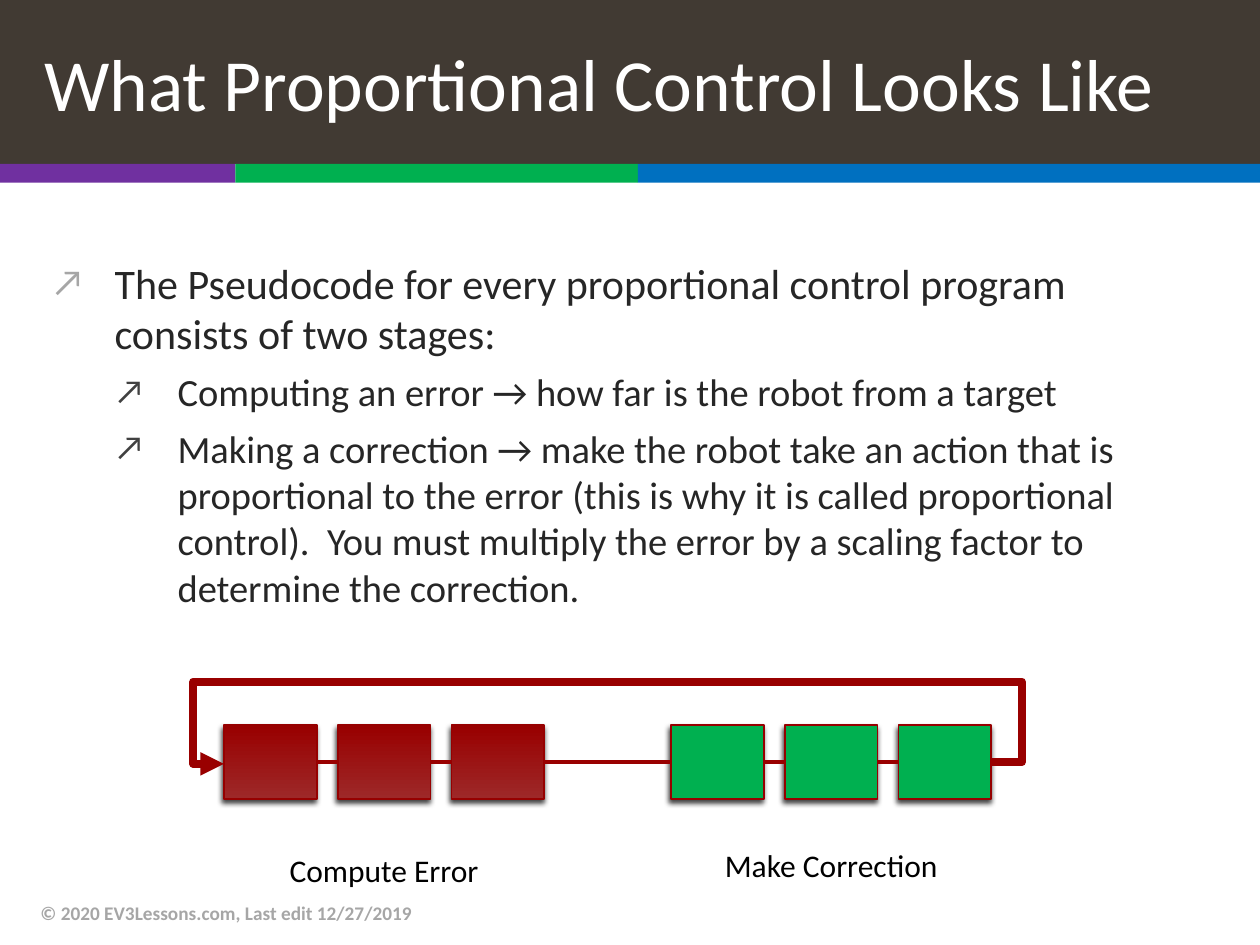
from lxml import etree
from pptx import Presentation
from pptx.dml.color import RGBColor
from pptx.enum.shapes import MSO_CONNECTOR, MSO_SHAPE
from pptx.enum.text import MSO_ANCHOR, MSO_AUTO_SIZE, PP_ALIGN
from pptx.oxml.ns import qn
from pptx.util import Pt

RECTANGLE, STRAIGHT = MSO_SHAPE.RECTANGLE, MSO_CONNECTOR.STRAIGHT
TOP, MIDDLE = MSO_ANCHOR.TOP, MSO_ANCHOR.MIDDLE
LEFT, CENTER = PP_ALIGN.LEFT, PP_ALIGN.CENTER
NO_AUTOFIT = MSO_AUTO_SIZE.NONE
LEFT_SIDE, RIGHT_SIDE = 1, 3

# Content
TITLE = "What Proportional Control Looks Like"
BULLETS = [
    (0, "The Pseudocode for every proportional control program consists of two stages:"),
    (1, "Computing an error → how far is the robot from a target"),
    (1, "Making a correction → make the robot take an action that is proportional to the "
        "error (this is why it is called proportional control).  You must multiply the "
        "error by a scaling factor to determine the correction."),
]
COPYRIGHT = "© 2020 EV3Lessons.com, Last edit 12/27/2019"
STRIPES = [("7030A0", 134.5), ("00B050", 230), ("0070C0", 355.5)]  # colour, width
STAGES = [  # label, left, label top, fill colours from bottom to top
    ("Compute Error", 128, 483, ("9D2828", "990000")),
    ("Make Correction", 383.5, 480, ("00B050",)),
]

# Theme and layout, in points
THEME = {
    "font": "Calibri", "header": "413A33", "flow": "990000", "box_line": "960000",
    "title": {"size": 42, "color": "FFFFFF"},
    "levels": [
        {"size": 24, "color": "262626", "bullet": "A6A6A6"},
        {"size": 22, "color": "262626", "bullet": "404040"},
    ],
    "label": {"size": 18, "color": "000000"},
    "footer": {"size": 11, "color": "A6A6A6", "bold": True},
}
SLIDE_WIDTH, SLIDE_HEIGHT = 720, 540
HEADER_HEIGHT, STRIPE_HEIGHT = 93.6, 10.8
BOX_WIDTH, BOX_HEIGHT, BOX_TOP = 53, 42, 414.5
BOX_PITCH, BOXES_PER_STAGE = 65, 3
STAGE_WIDTH = BOX_PITCH * (BOXES_PER_STAGE - 1) + BOX_WIDTH
LOOP_TOP, LOOP_MARGIN = 389.5, 17.5


def color(value):
    return RGBColor.from_string(value)


def paint(shape, colors):
    if len(colors) == 1:
        shape.fill.solid()
        shape.fill.fore_color.rgb = color(colors[0])
        return
    shape.fill.gradient()
    shape.fill.gradient_angle = 90
    for position, (stop, value) in enumerate(zip(shape.fill.gradient_stops, colors)):
        stop.position = position
        stop.color.rgb = color(value)


def set_line(shape, value, width):
    shape.line.color.rgb = color(value)
    shape.line.width = Pt(width)


def place(shape, left, top, width, height):
    bounds = {"left": left, "top": top, "width": width, "height": height}
    for name, value in bounds.items():
        setattr(shape, name, Pt(value))


def add_rectangle(slide, left, top, width, height, colors):
    shape = slide.shapes.add_shape(
        RECTANGLE, Pt(left), Pt(top), Pt(width), Pt(height))
    shape.shadow.inherit = False
    paint(shape, colors)
    return shape


def add_run(paragraph, text, style):
    run = paragraph.add_run()
    run.text = text
    values = {"name": THEME["font"], "size": Pt(style["size"]),
              "bold": style.get("bold", False)}
    for name, value in values.items():
        setattr(run.font, name, value)
    run.font.color.rgb = color(style["color"])


def format_frame(frame, anchor):
    values = {"word_wrap": True, "auto_size": NO_AUTOFIT, "vertical_anchor": anchor}
    for name, value in values.items():
        setattr(frame, name, value)


def add_text(slide, text, bounds, style, align, anchor):
    box = slide.shapes.add_textbox(*[Pt(value) for value in bounds])
    format_frame(box.text_frame, anchor)
    paragraph = box.text_frame.paragraphs[0]
    paragraph.alignment = align
    add_run(paragraph, text, style)


def add_child(parent, tag, **attributes):
    return etree.SubElement(parent, qn(tag), attributes)


def set_bullet(paragraph, level, bullet_color):
    properties = paragraph._p.get_or_add_pPr()
    properties.set("marL", str(Pt(36 * (level + 1))))
    properties.set("indent", str(Pt(-36)))
    add_child(add_child(properties, "a:buClr"), "a:srgbClr", val=bullet_color)
    add_child(properties, "a:buSzPct", val="90000")
    add_child(properties, "a:buFont", typeface=THEME["font"])
    add_child(properties, "a:buChar", char="↗")


def add_box_shadow(shape):
    effects = shape._element.spPr.find(qn("a:effectLst"))
    shadow = add_child(effects, "a:outerShdw", blurRad=str(Pt(3)), dist=str(Pt(2)),
                       dir=str(110 * 60000), rotWithShape="0")
    add_child(add_child(shadow, "a:srgbClr", val="000000"), "a:alpha", val="75000")


def add_header(slide):
    left = 0
    for value, width in STRIPES:
        stripe = add_rectangle(slide, left, HEADER_HEIGHT, width, STRIPE_HEIGHT, [value])
        stripe.line.fill.background()
        left += width
    title = slide.shapes.title
    place(title, 0, 0, SLIDE_WIDTH, HEADER_HEIGHT)
    paint(title, [THEME["header"]])
    format_frame(title.text_frame, MIDDLE)
    paragraph = title.text_frame.paragraphs[0]
    paragraph.alignment = LEFT
    paragraph._p.get_or_add_pPr().set("marL", str(Pt(18)))
    add_run(paragraph, TITLE, THEME["title"])


def add_body(slide):
    body = slide.placeholders[1]
    place(body, 22.3, 143.3, 675.4, 339)
    frame = body.text_frame
    format_frame(frame, TOP)
    for index, (level, text) in enumerate(BULLETS):
        paragraph = frame.add_paragraph() if index else frame.paragraphs[0]
        style = THEME["levels"][level]
        paragraph.level = level
        set_bullet(paragraph, level, style["bullet"])
        paragraph.space_before = Pt(6 if index else 0)
        add_run(paragraph, text, style)


def add_flow(slide):
    # Boxes and stage labels
    boxes = []
    for label, left, label_top, colors in STAGES:
        for index in range(BOXES_PER_STAGE):
            box = add_rectangle(slide, left + index * BOX_PITCH, BOX_TOP,
                                BOX_WIDTH, BOX_HEIGHT, colors)
            set_line(box, THEME["box_line"], 1)
            add_box_shadow(box)
            boxes.append(box)
        add_text(slide, label, (left, label_top, STAGE_WIDTH, 29),
                 THEME["label"], CENTER, TOP)

    # Links between neighbouring boxes
    for first, second in zip(boxes, boxes[1:]):
        link = slide.shapes.add_connector(STRAIGHT, 0, 0, 0, 0)
        link.begin_connect(first, RIGHT_SIDE)
        link.end_connect(second, LEFT_SIDE)
        set_line(link, THEME["flow"], 2)
        add_child(link._element.spPr, "a:effectLst")

    # Feedback loop from the last box to the first
    start, end = STAGES[-1][1] + STAGE_WIDTH, STAGES[0][1]
    right, left = start + LOOP_MARGIN, end - LOOP_MARGIN
    middle = BOX_TOP + BOX_HEIGHT / 2
    corners = [(right, middle), (right, LOOP_TOP), (left, LOOP_TOP),
               (left, middle + 1), (end, middle + 1)]
    builder = slide.shapes.build_freeform(Pt(start), Pt(middle))
    builder.add_line_segments([(Pt(x), Pt(y)) for x, y in corners], close=False)
    loop = builder.convert_to_shape()
    loop.shadow.inherit = False
    loop.fill.background()
    set_line(loop, THEME["flow"], 4.5)
    outline = loop._element.spPr.find(qn("a:ln"))
    add_child(outline, "a:round")
    add_child(outline, "a:tailEnd", type="triangle")


def main():
    presentation = Presentation()
    presentation.slide_width, presentation.slide_height = Pt(SLIDE_WIDTH), Pt(SLIDE_HEIGHT)
    slide = presentation.slides.add_slide(presentation.slide_layouts[1])
    add_header(slide)
    add_body(slide)
    add_text(slide, COPYRIGHT, (16, 507, 482, 29), THEME["footer"], LEFT, MIDDLE)
    add_flow(slide)
    presentation.save("out.pptx")


if __name__ == "__main__":
    main()
